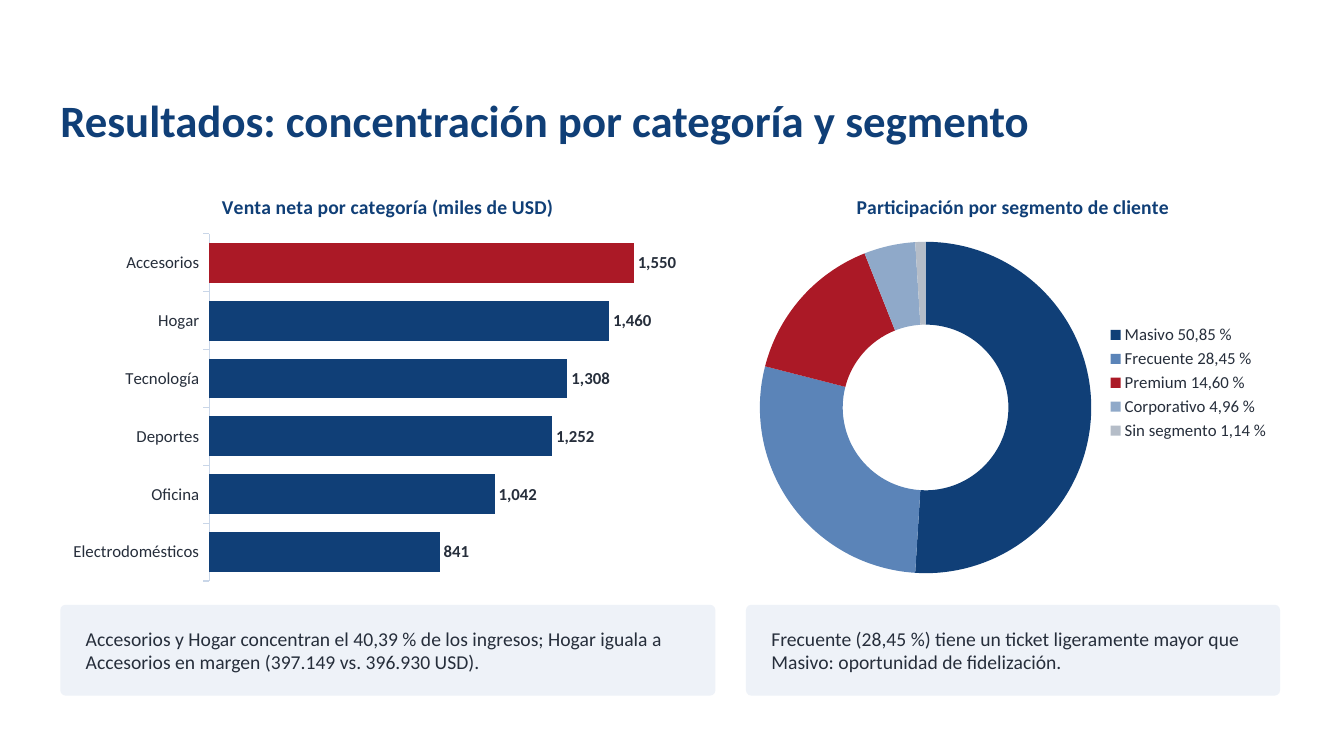
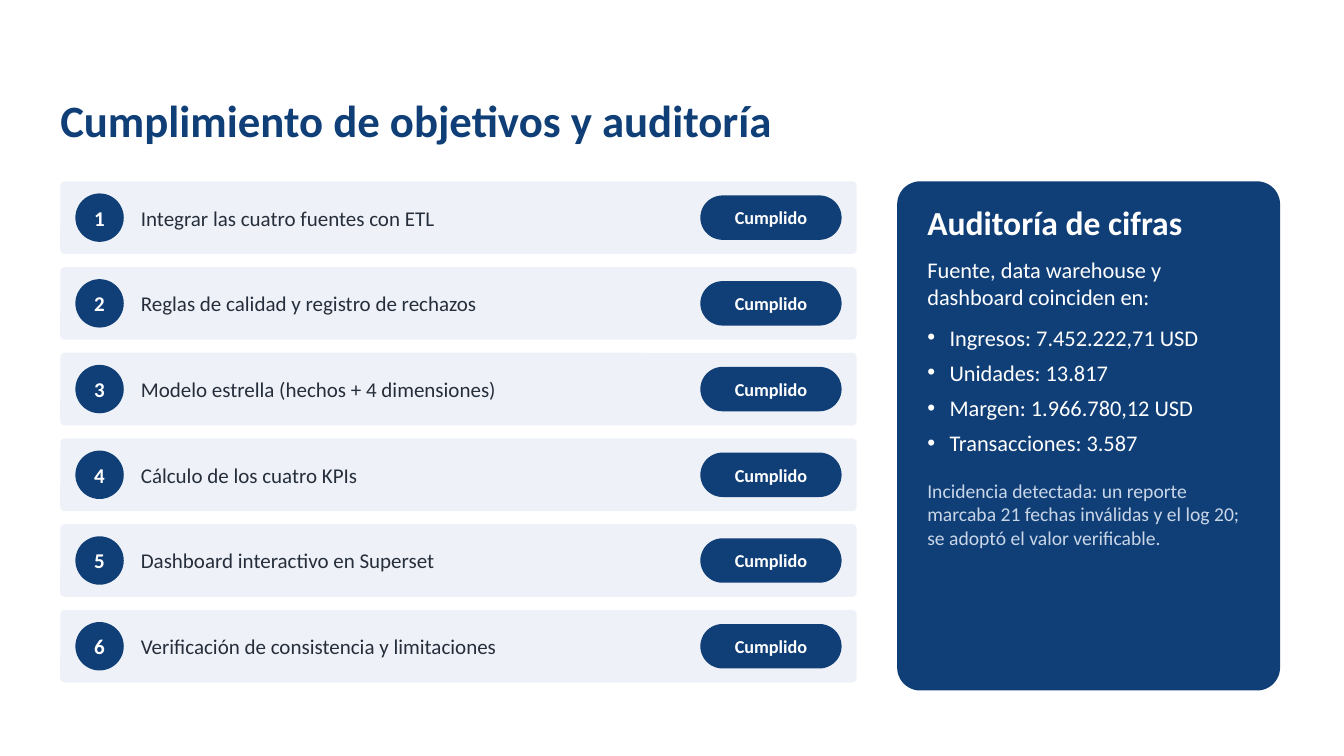
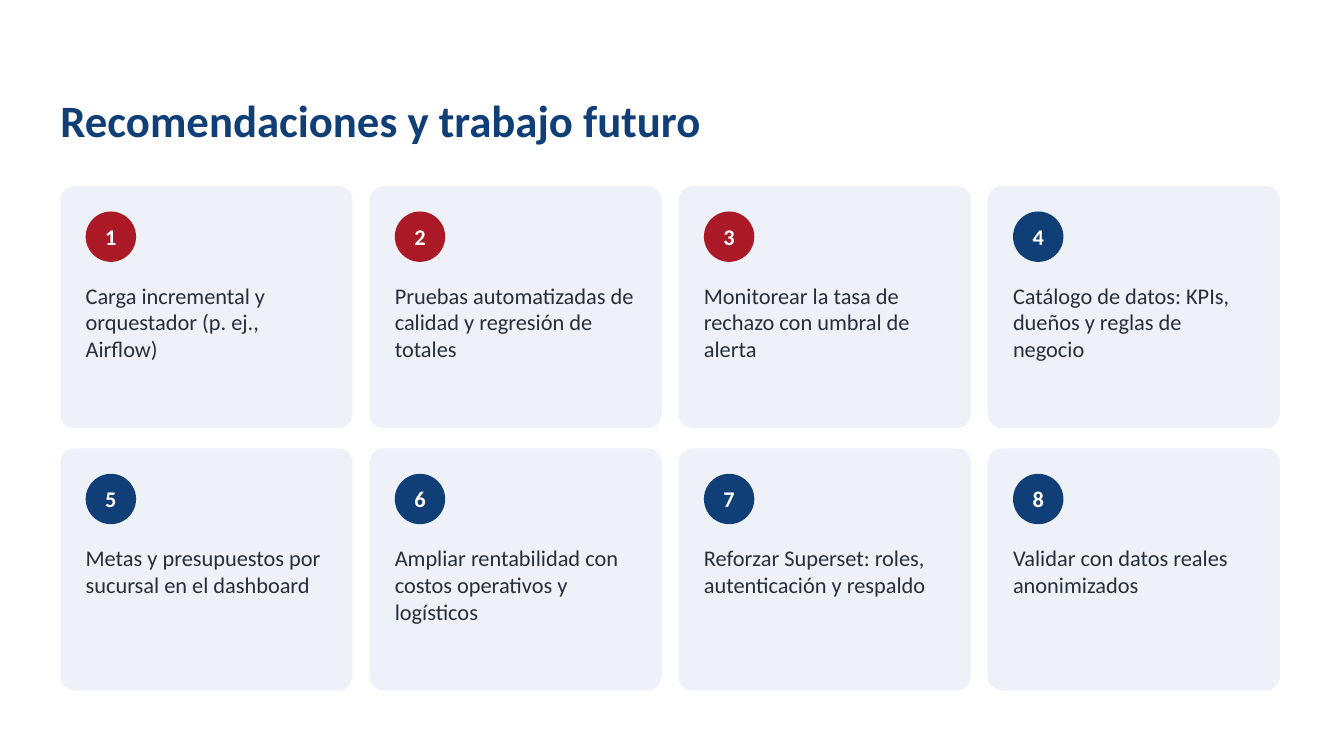
from lxml.etree import SubElement
from pptx import Presentation
from pptx.chart.data import CategoryChartData
from pptx.dml.color import RGBColor
from pptx.enum.chart import (XL_CHART_TYPE, XL_LABEL_POSITION,
                             XL_LEGEND_POSITION, XL_TICK_LABEL_POSITION, XL_TICK_MARK)
from pptx.enum.shapes import MSO_SHAPE
from pptx.enum.text import MSO_ANCHOR, PP_ALIGN
from pptx.oxml.ns import qn
from pptx.util import Cm, Pt

NAVY = RGBColor(0x10, 0x3F, 0x77)
RED = RGBColor(0xAB, 0x19, 0x26)
BLUE = RGBColor(0x5B, 0x84, 0xB8)
STEEL = RGBColor(0x8F, 0xA9, 0xC9)
GREY = RGBColor(0xB5, 0xBD, 0xC8)
SKY = RGBColor(0xC9, 0xD6, 0xE8)
PALE = RGBColor(0xEE, 0xF2, 0xF8)
INK = RGBColor(0x26, 0x2E, 0x3B)
WHITE = RGBColor(0xFF, 0xFF, 0xFF)

FACE = "Calibri"
LEFT, WIDTH = 1.52, 30.73
PAD = 0.64

SALES = {"Accesorios": 1550, "Hogar": 1460, "Tecnología": 1308,
         "Deportes": 1252, "Oficina": 1042, "Electrodomésticos": 841}
SHARES = {"Masivo 50,85 %": 51, "Frecuente 28,45 %": 28,
          "Premium 14,60 %": 15, "Corporativo 4,96 %": 5,
          "Sin segmento 1,14 %": 1}
GOALS = ["Integrar las cuatro fuentes con ETL",
         "Reglas de calidad y registro de rechazos",
         "Modelo estrella (hechos + 4 dimensiones)",
         "Cálculo de los cuatro KPIs",
         "Dashboard interactivo en Superset",
         "Verificación de consistencia y limitaciones"]
AUDIT = [("Auditoría de cifras", 24, WHITE, 10, False),
         ("Fuente, data warehouse y dashboard coinciden en:", 16, WHITE, 10, False),
         ("Ingresos: 7.452.222,71 USD", 16, WHITE, 6, True),
         ("Unidades: 13.817", 16, WHITE, 6, True),
         ("Margen: 1.966.780,12 USD", 16, WHITE, 6, True),
         ("Transacciones: 3.587", 16, WHITE, 16, True),
         ("Incidencia detectada: un reporte marcaba 21 fechas inválidas y el log 20; "
          "se adoptó el valor verificable.", 14, SKY, 0, False)]
IDEAS = ["Carga incremental y orquestador (p. ej., Airflow)",
         "Pruebas automatizadas de calidad y regresión de totales",
         "Monitorear la tasa de rechazo con umbral de alerta",
         "Catálogo de datos: KPIs, dueños y reglas de negocio",
         "Metas y presupuestos por sucursal en el dashboard",
         "Ampliar rentabilidad con costos operativos y logísticos",
         "Reforzar Superset: roles, autenticación y respaldo",
         "Validar con datos reales anonimizados"]


def style(font, size, color, bold=False):
    """Set face, size, colour and weight of a font."""
    font.name, font.size, font.bold = FACE, Pt(size), bold
    font.color.rgb = color


def clear(frame, anchor):
    """Remove the margins of a text frame, wrap it and anchor it."""
    frame.word_wrap = True
    frame.vertical_anchor = anchor
    frame.margin_left = frame.margin_right = 0
    frame.margin_top = frame.margin_bottom = 0


def label(slide, box, text, size, color=INK, bold=False, anchor=MSO_ANCHOR.MIDDLE):
    """Add a one-paragraph text box and return its paragraph."""
    frame = slide.shapes.add_textbox(*map(Cm, box)).text_frame
    clear(frame, anchor)
    para = frame.paragraphs[0]
    para.text = text
    style(para.runs[0].font, size, color, bold)
    return para


def block(slide, kind, box, fill, round_by=None):
    """Add a flat filled shape without outline."""
    shape = slide.shapes.add_shape(kind, *map(Cm, box))
    shape.shadow.inherit = False
    shape.fill.solid()
    shape.fill.fore_color.rgb = fill
    shape.line.fill.background()
    if round_by is not None:
        shape.adjustments[0] = round_by
    return shape


def card(slide, box, fill=PALE):
    """Add a softly rounded card."""
    return block(slide, MSO_SHAPE.ROUNDED_RECTANGLE, box, fill, 0.06)


def mark(shape, text, size):
    """Write centred bold white text in a shape."""
    clear(shape.text_frame, MSO_ANCHOR.MIDDLE)
    para = shape.text_frame.paragraphs[0]
    para.text = text
    para.alignment = PP_ALIGN.CENTER
    style(para.runs[0].font, size, WHITE, True)


def disc(slide, left, top, side, number, size, fill=NAVY):
    """Add a numbered disc."""
    mark(block(slide, MSO_SHAPE.OVAL, (left, top, side, side), fill), str(number), size)


def page(deck, title):
    """Add a blank slide with the shared title."""
    slide = deck.slides.add_slide(deck.slide_layouts[6])
    para = label(slide, (LEFT, 2.08, WIDTH, 2.03), title, 32, NAVY, True)
    para.line_spacing = 0.9
    return slide


def graph(slide, kind, box, title, data):
    """Add a titled one-series chart and return it."""
    table = CategoryChartData()
    table.categories = list(data)
    table.add_series("Series 1", list(data.values()))
    chart = slide.shapes.add_chart(kind, *map(Cm, box), table).chart
    style(chart.font, 12, INK)
    chart.has_title = True
    para = chart.chart_title.text_frame.paragraphs[0]
    para.text = title
    style(para.runs[0].font, 14, NAVY, True)
    chart.chart_title.include_in_layout = False
    chart.has_legend = False
    return chart


def tint(item, color):
    """Fill a series or point with one colour."""
    item.format.fill.solid()
    item.format.fill.fore_color.rgb = color


def bars(slide, box):
    """Draw sales by category as bars, with the leader in red."""
    chart = graph(slide, XL_CHART_TYPE.BAR_CLUSTERED, box,
                  "Venta neta por categoría (miles de USD)", SALES)
    plot = chart.plots[0]
    plot.gap_width = 45
    plot.vary_by_categories = False
    tint(plot.series[0], NAVY)
    tint(plot.series[0].points[0], RED)
    plot.has_data_labels = True
    tags = plot.data_labels
    tags.show_value = True
    tags.position = XL_LABEL_POSITION.OUTSIDE_END
    tags.number_format, tags.number_format_is_linked = "#,##0", False
    style(tags.font, 12, INK, True)
    names, scale = chart.category_axis, chart.value_axis
    names.reverse_order = True
    names.major_tick_mark = XL_TICK_MARK.OUTSIDE
    names.tick_label_position = XL_TICK_LABEL_POSITION.LOW
    names.format.line.color.rgb = SKY
    names.format.line.width = Pt(0.75)
    style(names.tick_labels.font, 12, INK)
    scale.minimum_scale = 0
    scale.has_major_gridlines = False
    scale.visible = False


def ring(slide, box):
    """Draw the customer shares as a doughnut with a legend."""
    chart = graph(slide, XL_CHART_TYPE.DOUGHNUT, box,
                  "Participación por segmento de cliente", SHARES)
    points = chart.plots[0].series[0].points
    for spot, color in enumerate((NAVY, BLUE, RED, STEEL, GREY)):
        tint(points[spot], color)
    chart.has_legend = True
    chart.legend.position = XL_LEGEND_POSITION.RIGHT
    chart.legend.include_in_layout = False
    style(chart.legend.font, 12, INK)


def note(slide, box, text):
    """Add a card with a short remark."""
    left, top, width, height = box
    card(slide, box)
    label(slide, (left + PAD, top, width - 2 * PAD, height), text, 14)


def goal(slide, box, number, text):
    """Add a goal row with its disc and status pill."""
    left, top, width, height = box
    side, edge, wide, tall = 1.22, 0.38, 3.56, 1.12
    card(slide, box)
    disc(slide, left + edge, top + (height - side) / 2, side, number, 15)
    label(slide, (left + 2.03, top, 13.21, height), text, 15)
    spot = (left + width - edge - wide, top + (height - tall) / 2, wide, tall)
    mark(block(slide, MSO_SHAPE.ROUNDED_RECTANGLE, spot, NAVY, 0.5), "Cumplido", 13)


def bullet(para):
    """Give a paragraph a hanging bullet."""
    props = para._p.get_or_add_pPr()
    props.set("marL", str(Cm(0.56)))
    props.set("indent", str(-Cm(0.56)))
    SubElement(props, qn("a:buFont")).set("typeface", "Arial")
    SubElement(props, qn("a:buChar")).set("char", "•")


def panel(slide, box):
    """Add the dark audit panel."""
    left, top, width, height = box
    card(slide, box, NAVY)
    inner = (left + 0.76, top + 0.51, width - 1.52, height - 0.89)
    frame = slide.shapes.add_textbox(*map(Cm, inner)).text_frame
    clear(frame, MSO_ANCHOR.TOP)
    frame.text = "\n".join(row[0] for row in AUDIT)
    for para, (_, size, color, after, dot) in zip(frame.paragraphs, AUDIT):
        if dot:
            bullet(para)
        para.space_after = Pt(after)
        style(para.runs[0].font, size, color, size == 24)


def idea(slide, box, number, text):
    """Add a numbered card; the first three are urgent red."""
    left, top, width, _ = box
    card(slide, box)
    disc(slide, left + PAD, top + PAD, 1.27, number, 16, RED if number <= 3 else NAVY)
    label(slide, (left + PAD, top + 2.41, width - 2 * PAD, 3.43), text, 16,
          anchor=MSO_ANCHOR.TOP)


def results(deck):
    """Build the slide of charts."""
    slide = page(deck, "Resultados: concentración por categoría y segmento")
    sides = [(LEFT, 16.51, bars,
              "Accesorios y Hogar concentran el 40,39 % de los ingresos; Hogar iguala a "
              "Accesorios en margen (397.149 vs. 396.930 USD)."),
             (18.8, 13.46, ring,
              "Frecuente (28,45 %) tiene un ticket ligeramente mayor que Masivo: "
              "oportunidad de fidelización.")]
    for left, width, draw, text in sides:
        draw(slide, (left, 4.44, width, 10.41))
        note(slide, (left, 15.24, width, 2.29), text)


def goals(deck):
    """Build the slide of goals and audit."""
    slide = page(deck, "Cumplimiento de objetivos y auditoría")
    for row, text in enumerate(GOALS):
        goal(slide, (LEFT, 4.57 + row * 2.16, 20.07, 1.83), row + 1, text)
    panel(slide, (22.61, 4.57, 9.65, 12.83))


def ideas(deck):
    """Build the slide of recommendations."""
    slide = page(deck, "Recomendaciones y trabajo futuro")
    wide, tall, cols = 7.37, 6.1, 4
    for spot, text in enumerate(IDEAS):
        row, col = divmod(spot, cols)
        box = (LEFT + col * (wide + 0.42), 4.69 + row * (tall + 0.51), wide, tall)
        idea(slide, box, spot + 1, text)


def main():
    """Build and save the deck."""
    deck = Presentation()
    deck.slide_width, deck.slide_height = Cm(33.87), Cm(19.05)
    results(deck)
    goals(deck)
    ideas(deck)
    deck.save("out.pptx")


if __name__ == "__main__":
    main()
